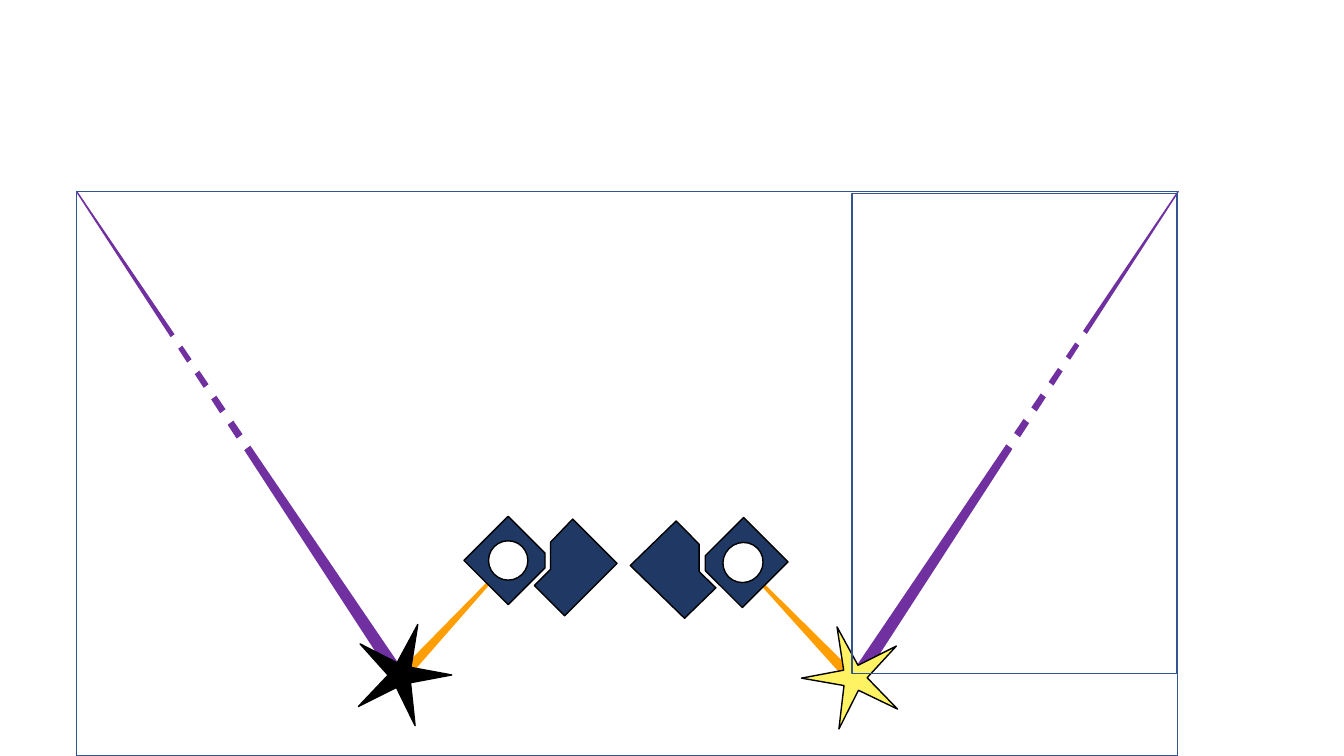
from dataclasses import dataclass
from pptx import Presentation
from pptx.dml.color import RGBColor
from pptx.enum.shapes import MSO_SHAPE
from pptx.util import Inches, Pt


@dataclass(frozen=True)
class Theme:
    ray: str = "7030A0"
    beam: str = "FF9E00"
    plate: str = "203864"
    dark: str = "000000"
    glow: str = "FFF263"
    white: str = "FFFFFF"
    frame: str = "325491"
    line: float = 1


@dataclass(frozen=True)
class Box:
    left: float
    top: float
    width: float
    height: float


THEME = Theme()
COLS, ROWS = 54, 53  # grid of one arm


def paint(shape, fill, line):
    shape.shadow.inherit = False
    if fill:
        shape.fill.solid()
        shape.fill.fore_color.rgb = RGBColor.from_string(fill)
    else:
        shape.fill.background()
    shape.line.color.rgb = RGBColor.from_string(line)
    shape.line.width = Pt(THEME.line)


def draw_arm(slide, box, star, flip=False, tip=0):
    """Draw one arm on its grid; flip counts the columns from the right."""
    shapes = slide.shapes.add_group_shape().shapes
    col, row = box.width / COLS, box.height / ROWS

    def place(x, y):
        x = COLS - x if flip else x
        return Inches(box.left + x * col), Inches(box.top + y * row)

    def outline(points, fill, line):
        first, *rest = [place(x, y) for x, y in points]
        pen = shapes.build_freeform(*first)
        pen.add_line_segments(rest, close=True)
        paint(pen.convert_to_shape(), fill, line)

    def preset(kind, x, y, wide, high, turn, fill, line):
        mid, level = place(x, y)
        wide, high = Inches(wide * col), Inches(high * row)
        shape = shapes.add_shape(kind, mid - wide // 2, level - high // 2, wide, high)
        shape.rotation = (360 - turn if flip else turn) % 360
        if flip:
            shape.element.spPr.get_or_add_xfrm().set("flipH", "1")
        paint(shape, fill, line)
        return shape

    # Tapered ray and beam
    outline([(31.9, 49), (tip, 0), (32.5, 47.8)], THEME.ray, THEME.ray)
    outline([(32.5, 47.2), (43.4, 36.1), (32.9, 48.1)], THEME.beam, THEME.beam)

    # Star
    spark = preset(MSO_SHAPE.STAR_5_POINT, 32.3, 47.5, 9.6, 9.6, 18.7, star, THEME.dark)
    spark.adjustments[0] = 0.122

    # Ringed plate and its notched partner
    preset(MSO_SHAPE.SNIP_1_RECTANGLE, 42.8, 36.6, 6.2, 6.2, 45, THEME.plate, THEME.dark)
    outline([(49.2, 32.5), (47, 34.8), (47, 37.5), (45.4, 39.1), (48.4, 42.1),
             (53.6, 36.9)], THEME.plate, THEME.dark)
    preset(MSO_SHAPE.OVAL, 42.8, 36.6, 3.9, 3.9, 45, THEME.white, THEME.dark)

    # White slats that break the ray into dashes
    for i in range(5):
        preset(MSO_SHAPE.RECTANGLE, 9.6 + 1.95 * i, 15.1 + 2.28 * i, 7.4, 1.2, 322.9,
               THEME.white, THEME.white)


def draw_frame(slide, box):
    sides = map(Inches, (box.left, box.top, box.width, box.height))
    paint(slide.shapes.add_shape(MSO_SHAPE.RECTANGLE, *sides), None, THEME.frame)


deck = Presentation()
deck.slide_width, deck.slide_height = Inches(13.33), Inches(7.5)
slide = deck.slides.add_slide(deck.slide_layouts[6])

draw_arm(slide, Box(0.76, 1.9, 5.4, 5.3), THEME.dark)
draw_arm(slide, Box(6.21, 1.9, 5.59, 5.33), THEME.glow, flip=True, tip=1.1)
draw_frame(slide, Box(0.76, 1.9, 10.92, 5.6))
draw_frame(slide, Box(8.45, 1.92, 3.22, 4.76))

deck.save("out.pptx")
